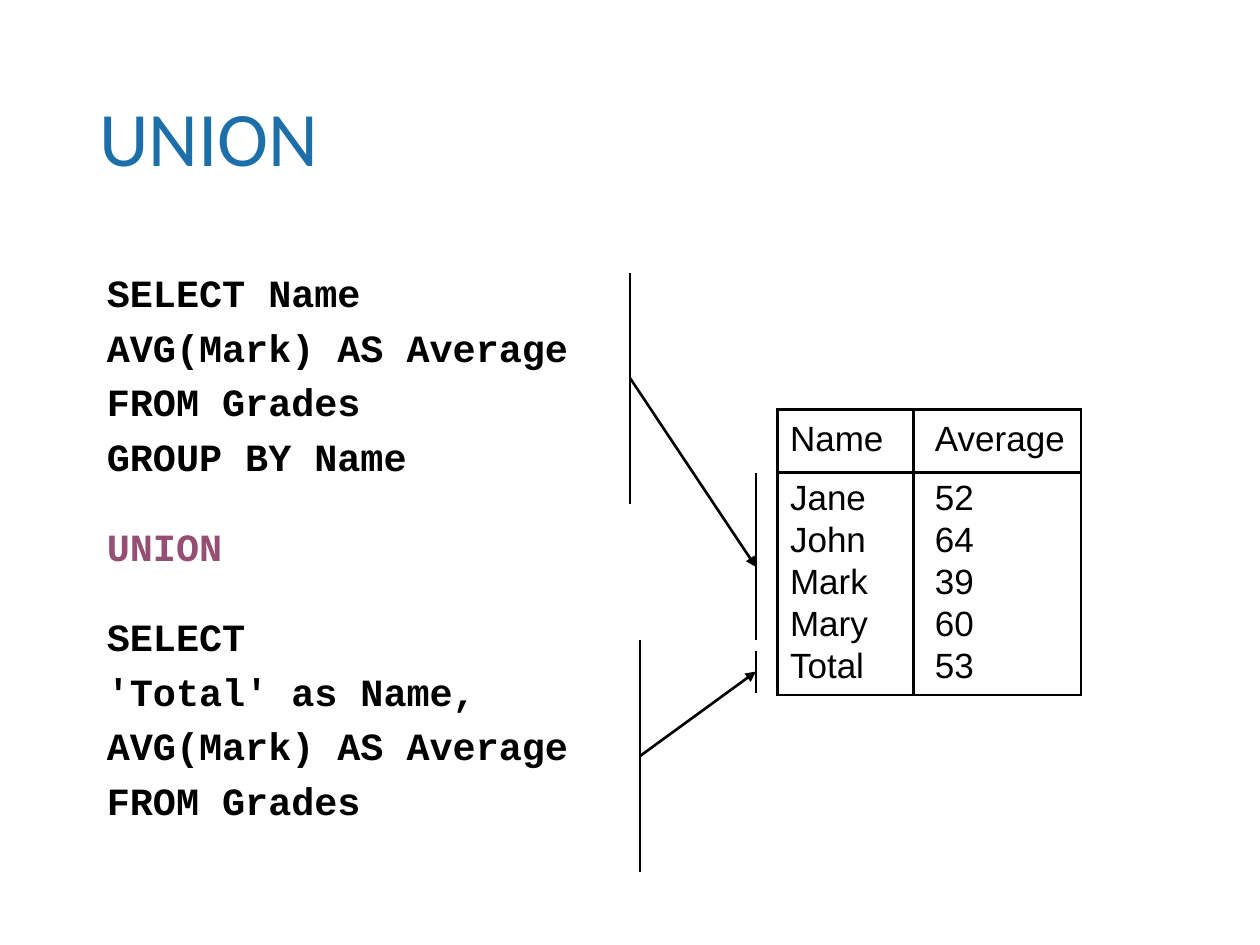
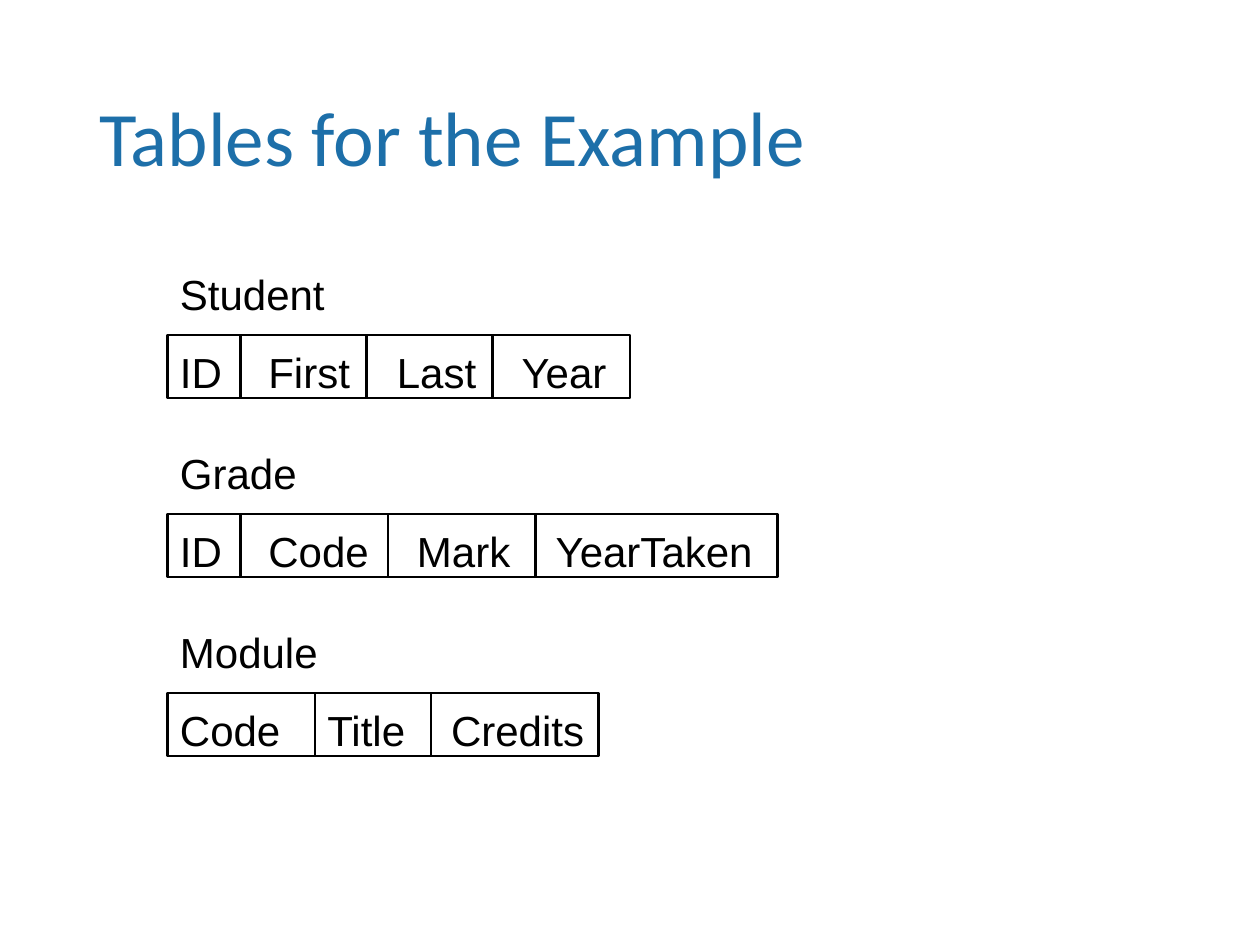
from lxml.etree import SubElement as Sub
from pptx import Presentation
from pptx.dml.color import RGBColor
from pptx.enum.shapes import MSO_CONNECTOR as Conn, MSO_SHAPE as Shape
from pptx.enum.text import MSO_ANCHOR as Anchor, PP_ALIGN as Align
from pptx.oxml.ns import qn
from pptx.util import Inches, Pt

BLUE = RGBColor(0x1D, 0x6F, 0xA9)
PLUM = RGBColor(0x95, 0x4F, 0x72)
BLACK = RGBColor(0, 0, 0)
LINE = Pt(1.5)

TITLE = {"name": "Calibri", "size": Pt(44), "color": BLUE}
CODE = {"name": "Courier New", "size": Pt(22), "bold": True, "color": BLACK}
WORD = {**CODE, "color": PLUM}
CELL = {"name": "Arial", "size": Pt(20), "color": BLACK}
FIELD = {**CELL, "size": Pt(24)}

QUERY = [
    ["SELECT Name", "AVG(Mark) AS Average", "FROM Grades", "GROUP BY Name"],
    ["UNION"],
    ["SELECT", "'Total' as Name,", "AVG(Mark) AS Average", "FROM Grades"],
]
GRADES = [("Name", "Average"), ("Jane", "52"), ("John", "64"),
          ("Mark", "39"), ("Mary", "60"), ("Total", "53")]
BARS = [(5, 2.17, 4), (6, 3.75, 5.08), (6, 5.17, 5.5), (5.08, 5.08, 6.92)]
ARROWS = [(5, 3, 6, 4.5), (5.08, 6, 6, 5.33)]
SCHEMAS = {
    "Student": [("ID", 0.58, 0.1), ("First", 1, 0.22),
                ("Last", 1, 0.24), ("Year", 1.09, 0.23)],
    "Grade": [("ID", 0.58, 0.1), ("Code", 1.17, 0.22),
              ("Mark", 1.17, 0.23), ("YearTaken", 1.92, 0.16)],
    "Module": [("Code", 1.17, 0.1), ("Title", 0.92, 0.1),
               ("Credits", 1.33, 0.16)],
}


def style(font, look):
    """Apply a dict of format values to a font."""
    for key, value in look.items():
        if key == "color":
            font.color.rgb = value
        else:
            setattr(font, key, value)


def write(para, text, look):
    """Put one styled run in a paragraph."""
    run = para.add_run()
    run.text = text
    style(run.font, look)


def add_box(slide, x, y, w, h):
    """Add a wrapping text box and return its frame."""
    frame = slide.shapes.add_textbox(*map(Inches, (x, y, w, h))).text_frame
    frame.word_wrap = True
    return frame


def add_title(slide, text):
    """Add the slide title."""
    frame = add_box(slide, 0.69, 0.4, 8.62, 1.45)
    frame.vertical_anchor = Anchor.MIDDLE
    frame.paragraphs[0].line_spacing = 0.9
    write(frame.paragraphs[0], text, TITLE)


def add_query(slide):
    """Add the query, with a wider gap before each new part."""
    frame = add_box(slide, 0.75, 2.16, 4.25, 4.5)
    for i, part in enumerate(QUERY):
        for j, text in enumerate(part):
            first = i == j == 0
            para = frame.paragraphs[0] if first else frame.add_paragraph()
            para.line_spacing = 0.8
            if not first:
                para.space_before = Pt(10 if j else 30.5)
            write(para, text, WORD if part == ["UNION"] else CODE)


def add_line(slide, x1, y1, x2, y2, arrow=False):
    """Add a black line, with an arrowhead at its end if asked."""
    line = slide.shapes.add_connector(
        Conn.STRAIGHT, *map(Inches, (x1, y1, x2, y2)))
    line.line.color.rgb = BLACK
    line.line.width = LINE
    if arrow:
        Sub(line.line._get_or_add_ln(), qn("a:tailEnd"), type="triangle")
    Sub(line._element.spPr, qn("a:effectLst"))


def set_edges(cell, sides):
    """Draw the named cell borders and hide the others."""
    props = cell._tc.get_or_add_tcPr()
    for side in "LRTB":
        edge = Sub(props, qn(f"a:ln{side}"), w=str(LINE))
        if side in sides:
            fill = Sub(edge, qn("a:solidFill"))
            Sub(fill, qn("a:srgbClr"), val=str(BLACK))
        else:
            Sub(edge, qn("a:noFill"))


def add_grid(slide, x, y, widths, heights):
    """Add a plain table with the given column and row sizes."""
    table = slide.shapes.add_table(
        len(heights), len(widths), Inches(x), Inches(y),
        Inches(sum(widths)), Inches(sum(heights))).table
    table.first_row = table.horz_banding = False
    for col, width in zip(table.columns, widths):
        col.width = Inches(width)
    for row, height in zip(table.rows, heights):
        row.height = Inches(height)
    return table


def fill_cell(cell, text, indent, top, sides):
    """Set the text, margins and borders of a cell."""
    cell.margin_left, cell.margin_top = Inches(indent), Inches(top)
    cell.margin_right = cell.margin_bottom = 0
    set_edges(cell, sides)
    cell.fill.background()
    write(cell.text_frame.paragraphs[0], text, CELL)


def add_grades(slide):
    """Add the result table, ruled only around its header and body."""
    table = add_grid(slide, 6.17, 3.25, [1.08, 1.33],
                     [0.5, 0.38, 0.33, 0.33, 0.33, 0.38])
    last = len(GRADES) - 1
    tops = {0: 0.08, 1: 0.05}
    for i, row in enumerate(GRADES):
        sides = {0: "LRTB", 1: "LRT", last: "LRB"}.get(i, "LR")
        for j, text in enumerate(row):
            indent = 0.17 if j else 0.1
            fill_cell(table.cell(i, j), text, indent, tops.get(i, 0), sides)


def add_field(slide, x, y, width, text, indent):
    """Add one outlined field of a schema."""
    box = slide.shapes.add_shape(
        Shape.RECTANGLE, *map(Inches, (x, y, width, 0.5)))
    box.shadow.inherit = False
    box.fill.background()
    box.line.color.rgb = BLACK
    box.line.width = LINE
    frame = box.text_frame
    frame.word_wrap = False
    frame.vertical_anchor = Anchor.TOP
    frame.margin_left, frame.margin_top = Inches(indent), Inches(0.09)
    frame.margin_right = frame.margin_bottom = 0
    frame.paragraphs[0].alignment = Align.LEFT
    write(frame.paragraphs[0], text, FIELD)


def add_schema(slide, y, name, fields):
    """Add a table name with its row of fields below."""
    x = 1.33
    frame = add_box(slide, x, y, 3.5, 0.5)
    write(frame.paragraphs[0], name, FIELD)
    for text, width, indent in fields:
        add_field(slide, x, y + 0.58, width, text, indent)
        x += width


def main():
    """Build both slides."""
    deck = Presentation()
    deck.slide_width, deck.slide_height = Inches(10), Inches(7.5)
    blank = deck.slide_layouts[6]

    union = deck.slides.add_slide(blank)
    add_title(union, "UNION")
    add_query(union)
    add_grades(union)
    for x, top, end in BARS:
        add_line(union, x, top, x, end)
    for ends in ARROWS:
        add_line(union, *ends, arrow=True)

    tables = deck.slides.add_slide(blank)
    add_title(tables, "Tables for the Example")
    for i, (name, fields) in enumerate(SCHEMAS.items()):
        add_schema(tables, 2.08 + 1.42 * i, name, fields)

    deck.save("out.pptx")


if __name__ == "__main__":
    main()
